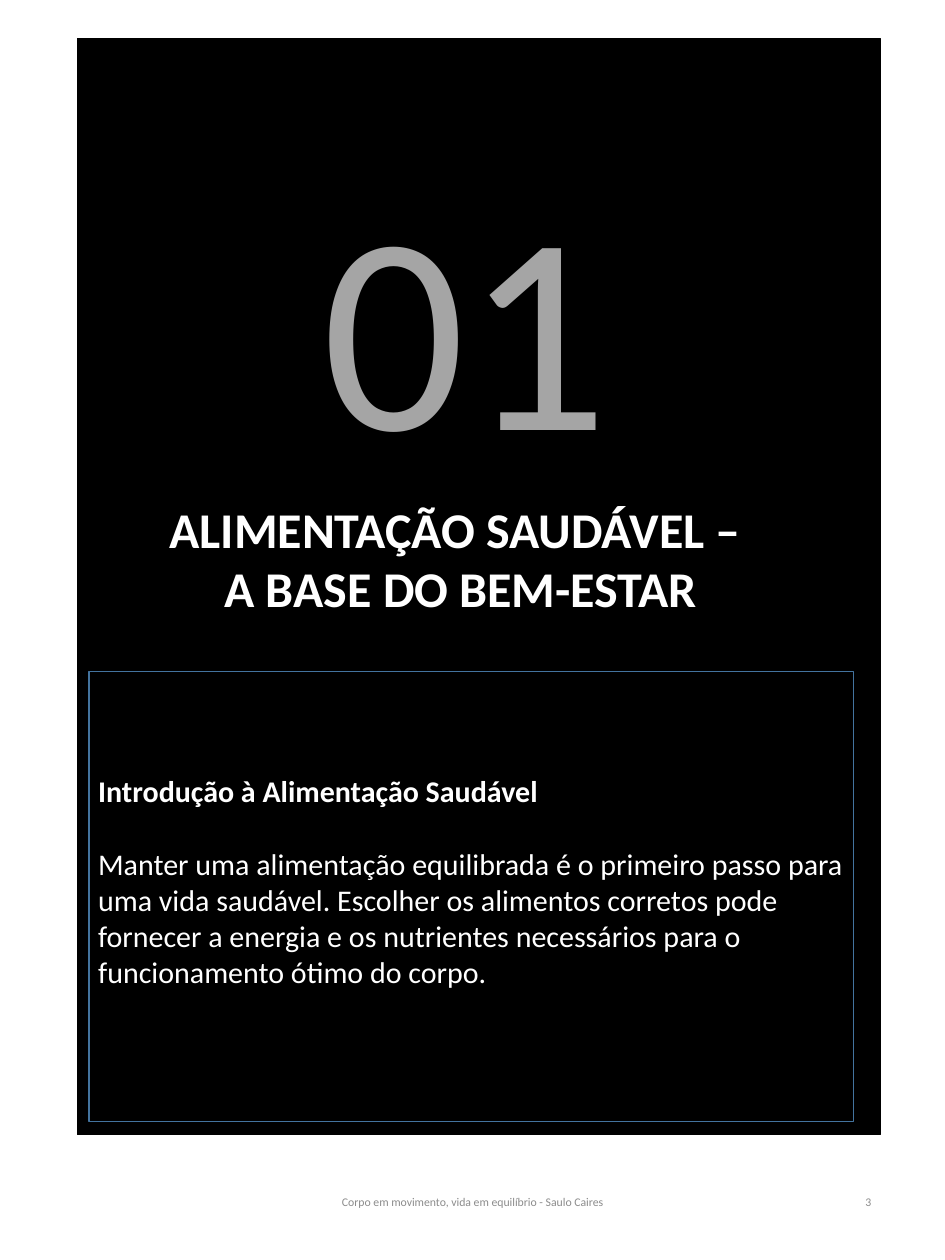
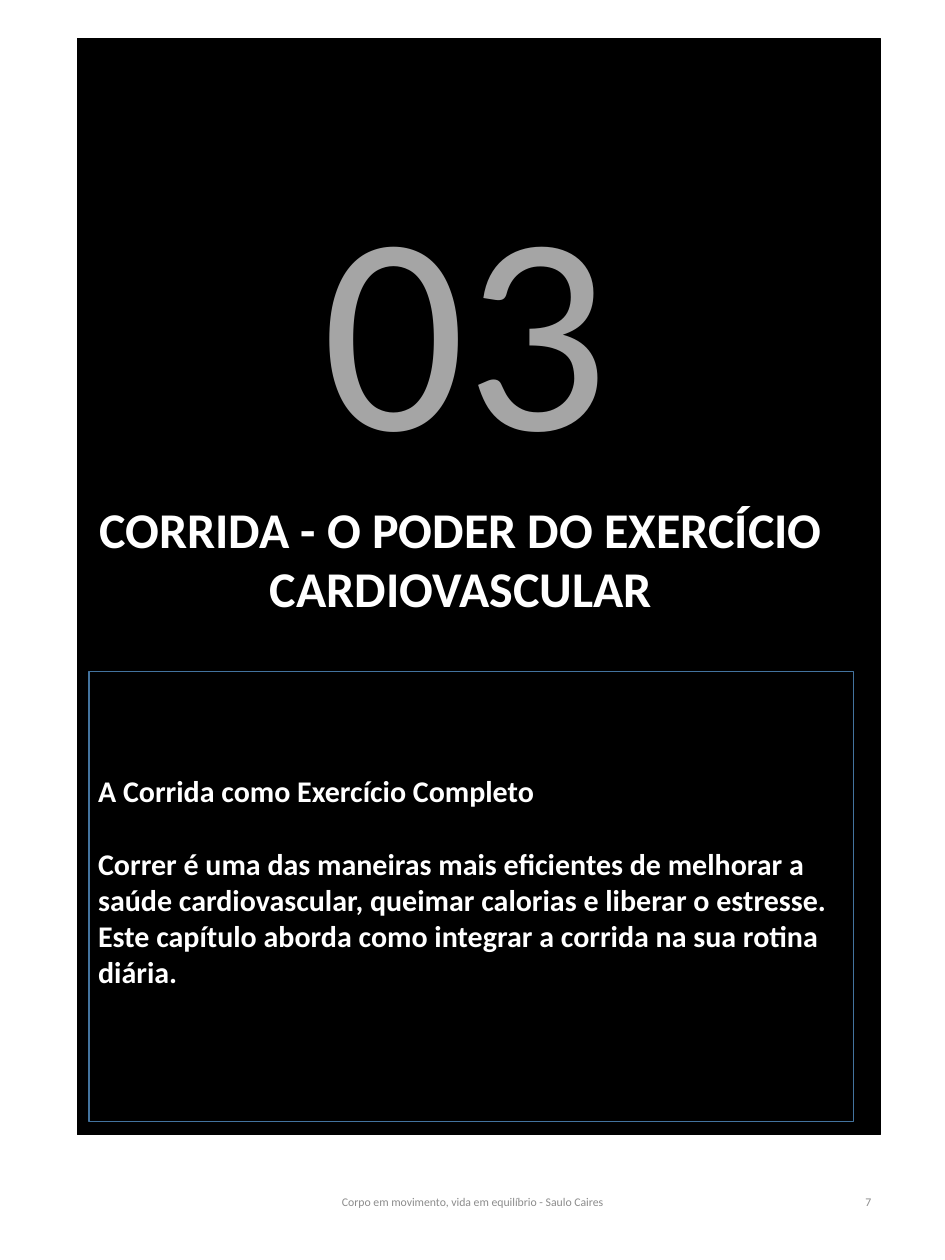
from dataclasses import dataclass

from lxml import etree
from pptx import Presentation
from pptx.dml.color import RGBColor
from pptx.enum.shapes import MSO_SHAPE
from pptx.enum.text import MSO_ANCHOR, MSO_AUTO_SIZE, PP_ALIGN
from pptx.oxml.ns import qn
from pptx.util import Inches, Pt

RECTANGLE = MSO_SHAPE.RECTANGLE
MIDDLE = MSO_ANCHOR.MIDDLE
NO_AUTOFIT = MSO_AUTO_SIZE.NONE
LEFT, CENTER, RIGHT = PP_ALIGN.LEFT, PP_ALIGN.CENTER, PP_ALIGN.RIGHT

TITLE_AND_CONTENT = 1
FOOTER = "Corpo em movimento, vida em equilíbrio - Saulo Caires"


@dataclass(frozen=True)
class Theme:
    font: str = "Calibri"
    panel: str = "000000"
    frame: str = "43739E"
    text: str = "FFFFFF"
    number: str = "A5A5A5"
    footer: str = "8C8C8C"
    number_opacity: int = 32
    number_size: float = 226
    title_size: float = 40
    body_size: float = 24
    footer_size: float = 9.4
    heading_gap: float = 29


@dataclass(frozen=True)
class Chapter:
    number: str
    title: tuple
    heading: str
    summary: str
    summary_bold: bool
    page: str


CHAPTERS = (
    Chapter(
        "01",
        ("ALIMENTAÇÃO SAUDÁVEL – ", "A BASE DO BEM-ESTAR"),
        "Introdução à Alimentação Saudável",
        "Manter uma alimentação equilibrada é o primeiro passo para uma vida "
        "saudável. Escolher os alimentos corretos pode fornecer a energia e os "
        "nutrientes necessários para o funcionamento ótimo do corpo.",
        False,
        "3",
    ),
    Chapter(
        "03",
        ("CORRIDA - O PODER DO EXERCÍCIO CARDIOVASCULAR",),
        "A Corrida como Exercício Completo",
        "Correr é uma das maneiras mais eficientes de melhorar a saúde "
        "cardiovascular, queimar calorias e liberar o estresse. Este capítulo "
        "aborda como integrar a corrida na sua rotina diária.",
        True,
        "7",
    ),
)


class ChapterDeck:
    def __init__(self, theme):
        self.theme = theme
        self.presentation = Presentation()
        self.presentation.slide_width = Inches(10.5)
        self.presentation.slide_height = Inches(14)
        self.slide = None

    def new_slide(self):
        layout = self.presentation.slide_layouts[TITLE_AND_CONTENT]
        self.slide = self.presentation.slides.add_slide(layout)

    def place(self, shape, left, top, width, height):
        shape.left, shape.top = Inches(left), Inches(top)
        shape.width, shape.height = Inches(width), Inches(height)

    def paint(self, shape, line):
        shape.fill.solid()
        shape.fill.fore_color.rgb = RGBColor.from_string(self.theme.panel)
        shape.line.color.rgb = RGBColor.from_string(line)
        shape.line.width = Pt(1)

    def set_text(self, shape, lines, size, color, align, bold=False):
        frame = shape.text_frame
        frame.text = "\n".join(lines)
        frame.word_wrap = True
        frame.auto_size = NO_AUTOFIT
        frame.vertical_anchor = MIDDLE
        for paragraph in frame.paragraphs:
            paragraph.alignment = align
            paragraph.space_before = Pt(0)
            for run in paragraph.runs:
                run.font.name = self.theme.font
                run.font.size = Pt(size)
                run.font.bold = bold
                run.font.color.rgb = RGBColor.from_string(color)

    def rectangle(self, left, top, width, height):
        shape = self.slide.shapes.add_shape(
            RECTANGLE, Inches(left), Inches(top), Inches(width), Inches(height)
        )
        shape.shadow.inherit = False
        self.paint(shape, self.theme.panel)
        return shape

    def panel(self):
        """Add the black page panel behind the placeholders."""
        shape = self.rectangle(0.86, 0.43, 8.92, 12.18)
        self.slide.shapes.element.insert(2, shape.element)

    def title(self, lines):
        shape = self.slide.shapes.title
        self.place(shape, 0.99, 5.09, 8.26, 2.22)
        self.paint(shape, self.theme.panel)
        self.set_text(
            shape, lines, self.theme.title_size, self.theme.text, CENTER, True
        )

    def number(self, text):
        shape = self.rectangle(1.09, 1.71, 8.17, 3.64)
        color = shape.element.find(f".//{qn('a:solidFill')}/{qn('a:srgbClr')}")
        alpha = etree.SubElement(color, qn("a:alpha"))
        alpha.set("val", str(self.theme.number_opacity * 1000))
        self.set_text(shape, [text], self.theme.number_size, self.theme.number, CENTER)

    def introduction(self, heading, summary, summary_bold):
        shape = self.slide.placeholders[1]
        self.place(shape, 0.99, 7.46, 8.49, 5)
        self.paint(shape, self.theme.frame)
        self.set_text(
            shape, [heading, summary], self.theme.body_size, self.theme.text, LEFT, True
        )
        frame = shape.text_frame
        frame.margin_bottom = Inches(0.39)
        for paragraph in frame.paragraphs:
            properties = paragraph._p.get_or_add_pPr()
            properties.set("marL", "0")
            properties.set("indent", "0")
            etree.SubElement(properties, qn("a:buNone"))
        first, last = frame.paragraphs
        first.space_after = Pt(self.theme.heading_gap)
        last.runs[0].font.bold = summary_bold

    def footer_text(self, text, left, width, align):
        shape = self.slide.shapes.add_textbox(
            Inches(left), Inches(12.98), Inches(width), Inches(0.75)
        )
        self.set_text(shape, [text], self.theme.footer_size, self.theme.footer, align)

    def chapter(self, chapter):
        self.new_slide()
        self.panel()
        self.title(chapter.title)
        self.number(chapter.number)
        self.introduction(chapter.heading, chapter.summary, chapter.summary_bold)
        self.footer_text(FOOTER, 3.48, 3.54, CENTER)
        self.footer_text(chapter.page, 7.42, 2.36, RIGHT)


def main():
    deck = ChapterDeck(Theme())
    for chapter in CHAPTERS:
        deck.chapter(chapter)
    deck.presentation.save("out.pptx")


if __name__ == "__main__":
    main()
